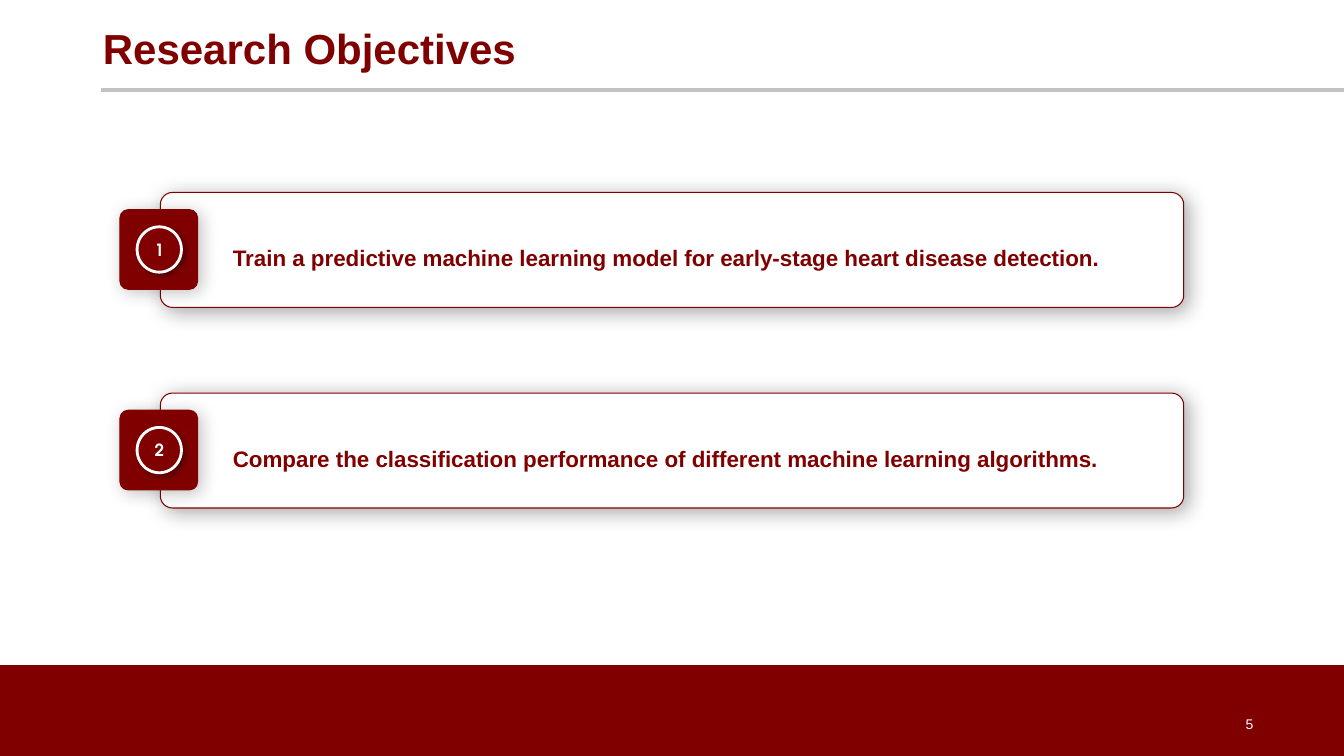
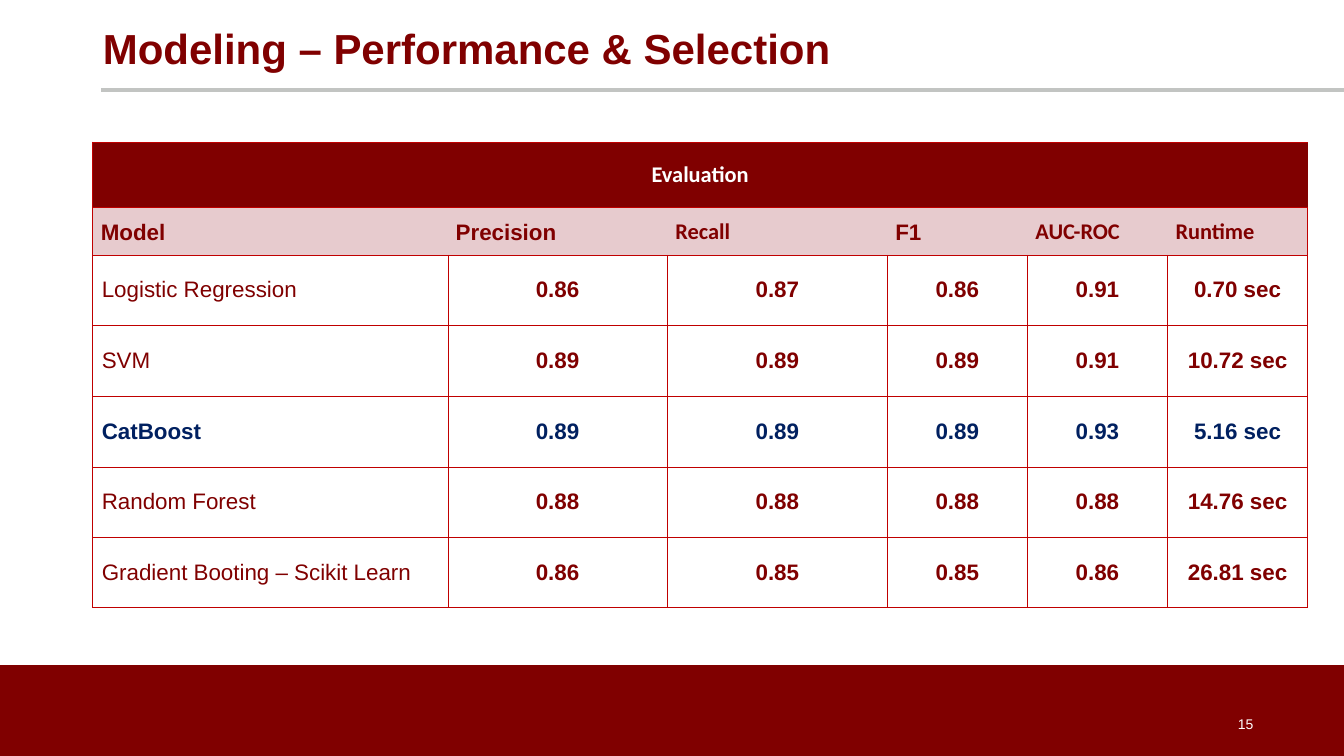
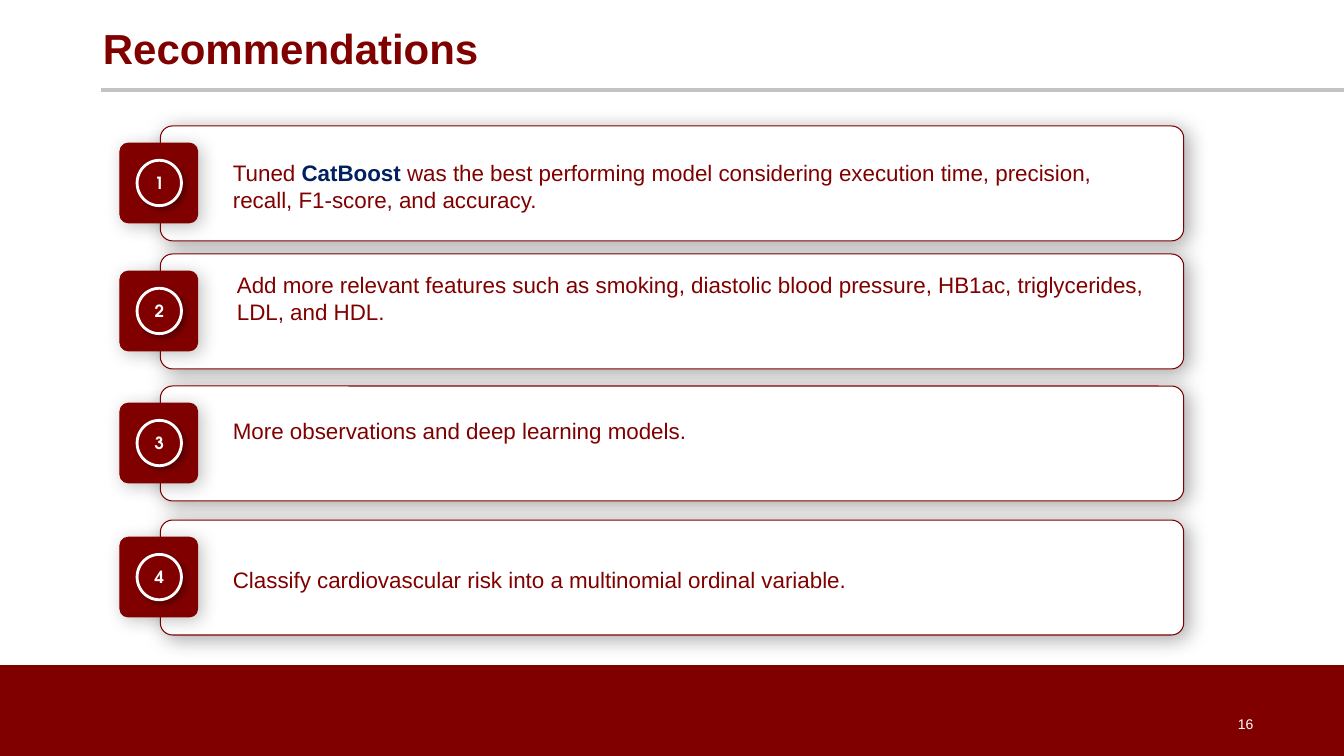
from lxml import etree
from pptx import Presentation
from pptx import util as u
from pptx.dml.color import RGBColor
from pptx.enum import shapes, text
from pptx.oxml import ns

Inches, Pt = u.Inches, u.Pt
MAROON, NAVY, WHITE = "800000", "002060", "FFFFFF"
GREY, PINK, RED = "C2C4C2", "E7CBCE", "C00000"

OBJECTIVES = [
    (1.91, 0.4, 1.58, [("Train a predictive machine learning model for early-stage heart disease detection.", MAROON, True)]),
    (3.9, 0.4, 1.58, [("Compare the classification performance of different machine learning algorithms.", MAROON, True)]),
]
RECOMMENDATIONS = [
    (1.25, 0.33, None, [
        ("Tuned ", MAROON, False),
        ("CatBoost", NAVY, True),
        (" was the best performing model considering execution time, precision, recall, F1-score, and accuracy.", MAROON, False),
    ]),
    (2.52, 0.17, None, [("Add more relevant features such as smoking, diastolic blood pressure, HB1ac, triglycerides, LDL, and HDL.", MAROON, False)]),
    (3.83, 0.31, None, [("More observations and deep learning models.", MAROON, False)]),
    (5.16, 0.34, 1.58, [("Classify cardiovascular risk into a multinomial ordinal variable.", MAROON, False)]),
]
HEADINGS = [("Model", "Arial"), ("Precision", "Arial"), ("Recall", "Calibri"),
            ("F1", "Arial"), ("AUC-ROC", "Calibri"), ("Runtime", "Calibri")]
SCORES = [
    ("Logistic Regression", "0.86", "0.87", "0.86", "0.91", "0.70 sec"),
    ("SVM", "0.89", "0.89", "0.89", "0.91", "10.72 sec"),
    ("CatBoost", "0.89", "0.89", "0.89", "0.93", "5.16 sec"),
    ("Random Forest", "0.88", "0.88", "0.88", "0.88", "14.76 sec"),
    ("Gradient Booting – Scikit Learn", "0.86", "0.85", "0.85", "0.86", "26.81 sec"),
]
BEST_MODEL = "CatBoost"
COLUMN_WIDTHS = [3.52, 2.18, 2.18, 1.39, 1.39, 1.39]
ROW_HEIGHTS = [0.65, 0.47] + [0.7] * len(SCORES)


def color(value):
    """Turn a hex string into a colour."""
    return RGBColor.from_string(value)


def style(font, size, tone, bold=False, name="Arial"):
    """Format a font."""
    font.size, font.bold, font.name = Pt(size), bold, name
    font.color.rgb = color(tone)


def place(item, left, top, width, height):
    """Move and size an object, in inches."""
    item.left, item.top = Inches(left), Inches(top)
    item.width, item.height = Inches(width), Inches(height)


def clear_margins(frame):
    """Remove the insets of a text frame."""
    frame.margin_left = frame.margin_right = frame.margin_top = frame.margin_bottom = 0


def add_panel(page, kind, box, fill, line=None, weight=0.75, radius=None, shadow=None):
    """Add a filled shape with an optional outline and (opacity, blur) shadow."""
    panel = page.shapes.add_shape(kind, *map(Inches, box))
    panel.fill.solid()
    panel.fill.fore_color.rgb = color(fill)
    if line:
        panel.line.color.rgb = color(line)
        panel.line.width = Pt(weight)
    else:
        panel.line.fill.background()
    if radius:
        panel.adjustments[0] = radius
    panel.shadow.inherit = False
    if shadow:
        opacity, blur = shadow
        effects = panel.element.spPr.find(ns.qn("a:effectLst"))
        outer = etree.SubElement(effects, ns.qn("a:outerShdw"), blurRad=str(Pt(blur)),
                                 dist=str(Pt(3)), dir=str(45 * 60000), algn="tl", rotWithShape="0")
        tone = etree.SubElement(outer, ns.qn("a:srgbClr"), val="000000")
        etree.SubElement(tone, ns.qn("a:alpha"), val=str(opacity * 1000))
    return panel


def prepare_layout(deck, layout):
    """Put the footer band, the title rule and the title box on the layout."""
    draft = deck.slides.add_slide(layout)
    band = add_panel(draft, shapes.MSO_SHAPE.RECTANGLE, (0, 6.6, 13.33, 0.9), MAROON)
    rule = draft.shapes.add_connector(shapes.MSO_CONNECTOR.STRAIGHT, Inches(1), Inches(0.89),
                                      Inches(13.33), Inches(0.89))
    rule.line.color.rgb = color(GREY)
    rule.line.width = Pt(3)
    etree.SubElement(rule.element.spPr, ns.qn("a:effectLst"))
    for index, item in enumerate((band, rule)):
        layout.shapes.element.insert(2 + index, item.element)
    title = layout.placeholders[0]
    place(title, 0.92, 0.05, 11.5, 0.84)
    title.text_frame.vertical_anchor = text.MSO_ANCHOR.MIDDLE
    return draft


def fill_frame(page, heading, number):
    """Write the title and the page number."""
    title = page.shapes.title.text_frame
    title.text = heading
    title.paragraphs[0].alignment = text.PP_ALIGN.LEFT
    style(title.paragraphs[0].runs[0].font, 30, MAROON, True)
    box = page.shapes.add_textbox(Inches(9.42), Inches(6.98), Inches(3.11), Inches(0.4))
    frame = box.text_frame
    frame.word_wrap = True
    frame.vertical_anchor = text.MSO_ANCHOR.MIDDLE
    frame.text = str(number)
    frame.paragraphs[0].alignment = text.PP_ALIGN.RIGHT
    style(frame.paragraphs[0].runs[0].font, 10, WHITE)


def add_card(page, left, top, number, text_top, spacing, spans):
    """Add a numbered card whose badge starts at the given left edge."""
    rounded = shapes.MSO_SHAPE.ROUNDED_RECTANGLE
    add_panel(page, rounded, (left + 0.4, top, 10.15, 1.14), WHITE, MAROON,
              radius=0.106, shadow=(34, 14.6))
    indent = 1.16 if number == 2 and spacing is None else 1.12
    box = page.shapes.add_textbox(Inches(left + indent), Inches(top + text_top),
                                  Inches(9.1), Inches(0.34))
    frame = box.text_frame
    frame.word_wrap = True
    clear_margins(frame)
    frame.vertical_anchor = text.MSO_ANCHOR.MIDDLE if spacing else text.MSO_ANCHOR.TOP
    para = frame.paragraphs[0]
    para.line_spacing = spacing
    for words, tone, bold in spans:
        span = para.add_run()
        span.text = words
        style(span.font, 16, tone, bold)
    add_panel(page, rounded, (left, top + 0.17, 0.77, 0.79), MAROON, MAROON,
              radius=0.105, shadow=(24, 12.9))
    circle = add_panel(page, shapes.MSO_SHAPE.OVAL, (left + 0.17, top + 0.34, 0.44, 0.45),
                       MAROON, WHITE, weight=2, shadow=(30, 3.8))
    label = circle.text_frame
    clear_margins(label)
    label.vertical_anchor = text.MSO_ANCHOR.MIDDLE
    label.text = str(number)
    label.paragraphs[0].alignment = text.PP_ALIGN.CENTER
    style(label.paragraphs[0].runs[0].font, 12, WHITE, True, "TeX Gyre Adventor")


def add_cards(page, cards):
    """Add a numbered column of cards."""
    for number, (top, text_top, spacing, spans) in enumerate(cards, 1):
        add_card(page, 1.19, top, number, text_top, spacing, spans)


def set_borders(cell, left, right, top, bottom):
    """Draw the four cell borders, where a zero width means none."""
    properties = cell._tc.get_or_add_tcPr()
    for index, (side, width) in enumerate(zip("LRTB", (left, right, top, bottom))):
        line = etree.Element(ns.qn("a:ln" + side), w=str(Pt(width)))
        if width:
            fill = etree.SubElement(line, ns.qn("a:solidFill"))
            etree.SubElement(fill, ns.qn("a:srgbClr"), val=RED)
        else:
            etree.SubElement(line, ns.qn("a:noFill"))
        properties.insert(index, line)


def fill_cell(cell, words, fill, tone, bold, name="Arial", centred=True, low=False, side=0.09):
    """Write and format one table cell."""
    cell.fill.solid()
    cell.fill.fore_color.rgb = color(fill)
    cell.margin_left = cell.margin_right = Inches(side)
    cell.margin_top = cell.margin_bottom = Inches(0.1)
    cell.vertical_anchor = text.MSO_ANCHOR.BOTTOM if low else text.MSO_ANCHOR.MIDDLE
    cell.text_frame.text = words
    para = cell.text_frame.paragraphs[0]
    para.alignment = text.PP_ALIGN.CENTER if centred else text.PP_ALIGN.LEFT
    style(para.font, 16, tone, bold, name)
    for span in para.runs:
        style(span.font, 16, tone, bold, name)


def add_score_table(page, left, top):
    """Add the model evaluation table."""
    rows, columns = len(ROW_HEIGHTS), len(COLUMN_WIDTHS)
    table = page.shapes.add_table(rows, columns, Inches(left), Inches(top),
                                  Inches(sum(COLUMN_WIDTHS)), Inches(sum(ROW_HEIGHTS))).table
    table.first_row = table.horz_banding = False
    for column, width in zip(table.columns, COLUMN_WIDTHS):
        column.width = Inches(width)
    for row, height in zip(table.rows, ROW_HEIGHTS):
        row.height = Inches(height)
    table.cell(0, 0).merge(table.cell(0, columns - 1))
    fill_cell(table.cell(0, 0), "Evaluation", MAROON, WHITE, True, "Calibri")
    for index, (heading, name) in enumerate(HEADINGS):
        fill_cell(table.cell(1, index), heading, PINK, MAROON, True, name,
                  centred=False, low=True, side=0.08)
    for row, scores in enumerate(SCORES, 2):
        best = scores[0] == BEST_MODEL
        for index, words in enumerate(scores):
            fill_cell(table.cell(row, index), words, WHITE, NAVY if best else MAROON,
                      best or index > 0, centred=index > 0)
    for row in range(rows):
        inner = 0.25 if row > 1 else 0
        for index in range(columns):
            set_borders(table.cell(row, index),
                        1 if index == 0 else inner,
                        1 if index == columns - 1 else inner,
                        1 if row < 2 else 0.25,
                        1 if row in (0, rows - 1) else 0.25)


def main():
    """Build and save the deck."""
    deck = Presentation()
    deck.slide_width, deck.slide_height = Inches(13.33), Inches(7.5)
    layout = deck.slide_layouts[5]

    objectives = prepare_layout(deck, layout)
    fill_frame(objectives, "Research Objectives", 5)
    add_cards(objectives, OBJECTIVES)

    performance = deck.slides.add_slide(layout)
    fill_frame(performance, "Modeling – Performance & Selection", 15)
    add_score_table(performance, 0.92, 1.41)

    recommendations = deck.slides.add_slide(layout)
    fill_frame(recommendations, "Recommendations", 16)
    add_cards(recommendations, RECOMMENDATIONS)

    deck.save("out.pptx")


if __name__ == "__main__":
    main()
